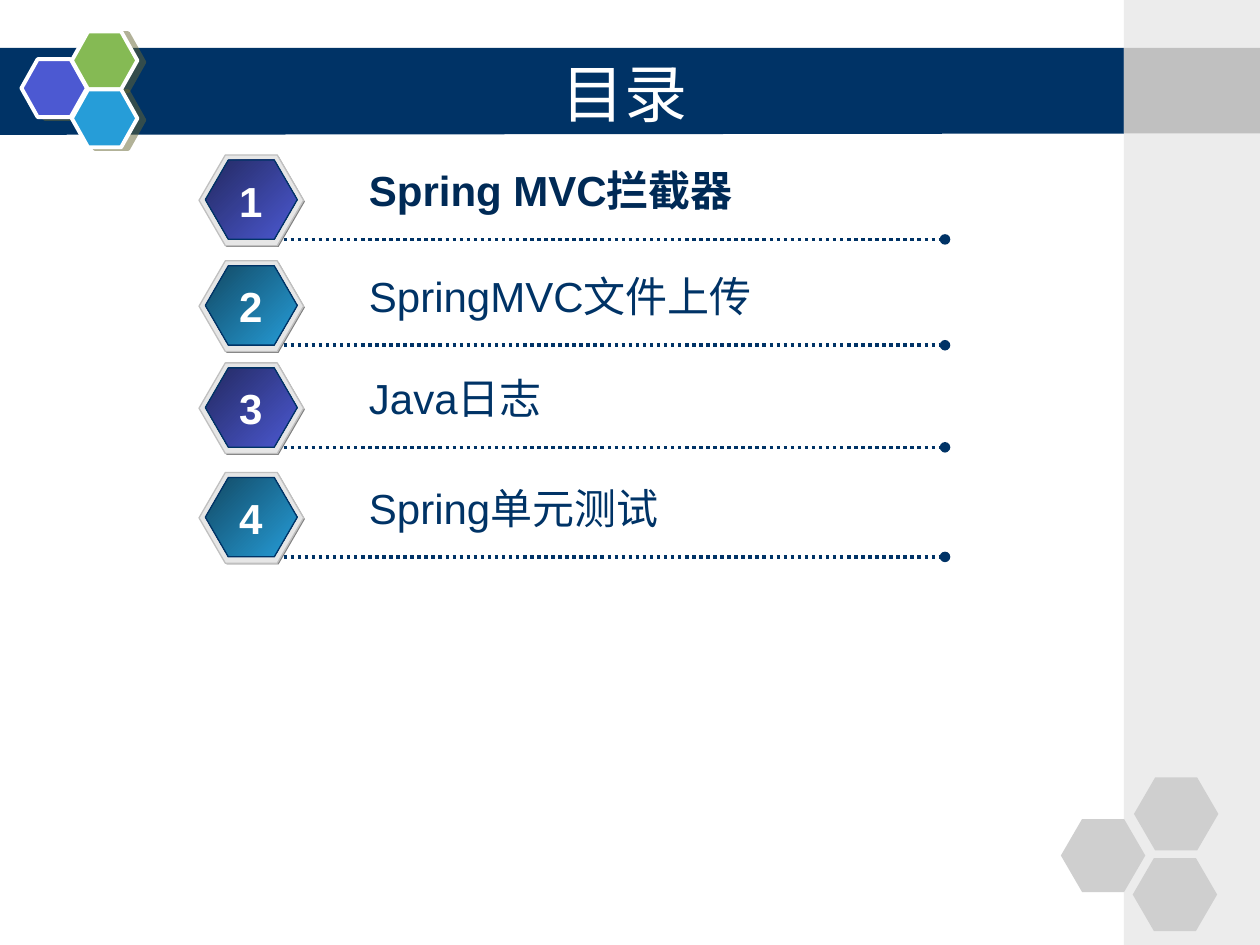
from lxml import etree
from pptx import Presentation
from pptx import util as u
from pptx.dml.color import RGBColor
from pptx.enum import dml, shapes, text
from pptx.oxml import ns

COLORS = {
    "navy": "003366", "active": "002A56", "white": "FFFFFF",
    "violet": "4C59D2", "dark_violet": "232961",
    "blue": "269DD8", "dark_blue": "124964", "green": "85BA54",
    "side": "ECECEC", "side_band": "C0C0C0", "pale": "CFCFCF",
    "rim": "E6E6E6", "rim_line": "C0C0C0", "rim_shade": "808080",
    "logo_shade": "666633",
}
RGB = {name: RGBColor.from_string(value) for name, value in COLORS.items()}

prs = Presentation()
prs.slide_width, prs.slide_height = u.Inches(10), u.Inches(7.5)
slide = prs.slides.add_slide(prs.slide_layouts[6])


def add_text(words, left, top, width, height, size=24, font="Arial", color="navy",
             bold=False, align=text.PP_ALIGN.LEFT, anchor=text.MSO_ANCHOR.TOP, wrap=True):
    box = slide.shapes.add_textbox(*map(u.Inches, (left, top, width, height)))
    frame = box.text_frame
    frame.word_wrap = wrap
    frame.vertical_anchor = anchor
    paragraph = frame.paragraphs[0]
    paragraph.alignment = align
    run = paragraph.add_run()
    run.text = words
    run.font.size = u.Pt(size)
    run.font.name = font
    run.font.bold = bold
    run.font.color.rgb = RGB[color]


def add_block(kind, left, top, width, height, fill, line=None, weight=0.75, adj=None):
    block = slide.shapes.add_shape(kind, *map(u.Inches, (left, top, width, height)))
    block.shadow.inherit = False
    if isinstance(fill, tuple):
        block.fill.gradient()
        block.fill.gradient_angle = 315
        for stop, name in zip(block.fill.gradient_stops, fill):
            stop.color.rgb = RGB[name]
    else:
        block.fill.solid()
        block.fill.fore_color.rgb = RGB[fill]
    if line:
        block.line.color.rgb = RGB[line]
        block.line.width = u.Pt(weight)
    else:
        block.line.fill.background()
    if adj:
        block.adjustments[0] = adj
    return block


HEXAGON = shapes.MSO_SHAPE.HEXAGON
RECTANGLE = shapes.MSO_SHAPE.RECTANGLE

outline = slide.shapes.build_freeform(u.Inches(-0.03), u.Inches(0.38))
outline.add_line_segments(
    [(u.Inches(x), u.Inches(y)) for x, y in [(8.94, 0.38), (8.93, 1.06), (-0.03, 1.07)]])
title_band = outline.convert_to_shape()
title_band.shadow.inherit = False
title_band.fill.solid()
title_band.fill.fore_color.rgb = RGB["navy"]
title_band.line.fill.background()

for left, top, color in [(0.17, 0.47, "violet"), (0.57, 0.25, "green"), (0.57, 0.71, "blue")]:
    cell = add_block(HEXAGON, left, top, 0.52, 0.46, color, "white", 2.25, 0.28)
    effects = cell._element.spPr.find(ns.qn("a:effectLst"))
    shade = etree.SubElement(effects, ns.qn("a:outerShdw"), blurRad="0",
                             dist=str(u.Pt(4.1)), dir=str(14 * 60000),
                             algn="ctr", rotWithShape="0")
    tint = etree.SubElement(shade, ns.qn("a:srgbClr"), val=COLORS["logo_shade"])
    etree.SubElement(tint, ns.qn("a:alpha"), val="50000")

add_block(RECTANGLE, 8.92, 0, 1.08, 7.5, "side")
add_block(RECTANGLE, 8.92, 0.38, 1.08, 0.68, "side_band")
for left, top in [(8.42, 6.5), (9, 6.17), (8.99, 6.81)]:
    add_block(HEXAGON, left, top, 0.67, 0.58, "pale", adj=0.29)

add_text("目录", 1.25, 0.42, 7.42, 0.62, size=36, font="DejaVu Sans", color="white",
         align=text.PP_ALIGN.CENTER, anchor=text.MSO_ANCHOR.MIDDLE)

topics = [("Spring MVC拦截器", 1.23), ("SpringMVC文件上传", 2.07),
          ("Java日志", 2.88), ("Spring单元测试", 3.75)]
badge_fills = [("dark_violet", "violet"), ("dark_blue", "blue")]

for number, (topic, top) in enumerate(topics, 1):
    current = number == 1
    add_block(HEXAGON, 1.59, top + 0.01, 0.83, 0.72, "rim_shade", adj=0.29)
    add_block(HEXAGON, 1.58, top, 0.83, 0.72, "rim", "rim_line", adj=0.29)
    add_block(HEXAGON, 1.63, top + 0.04, 0.73, 0.63, badge_fills[(number - 1) % 2],
              "navy", adj=0.29)

    rule_y = u.Inches(top + 0.67)
    rule = slide.shapes.add_connector(shapes.MSO_CONNECTOR.STRAIGHT,
                                      u.Inches(2.25), rule_y, u.Inches(7.5), rule_y)
    rule.line.color.rgb = RGB["navy"]
    rule.line.width = u.Pt(2)
    rule.line.dash_style = dml.MSO_LINE.ROUND_DOT
    etree.SubElement(rule.line._ln, ns.qn("a:tailEnd"), type="oval")
    etree.SubElement(rule._element.spPr, ns.qn("a:effectLst"))

    add_text(topic, 2.83, top + 0.03, 4.6, 0.5, bold=current,
             color="active" if current else "navy")
    add_text(str(number), 1.8, top + 0.11, 0.38, 0.5, color="white", bold=True,
             align=text.PP_ALIGN.CENTER, wrap=False)

prs.save("out.pptx")
